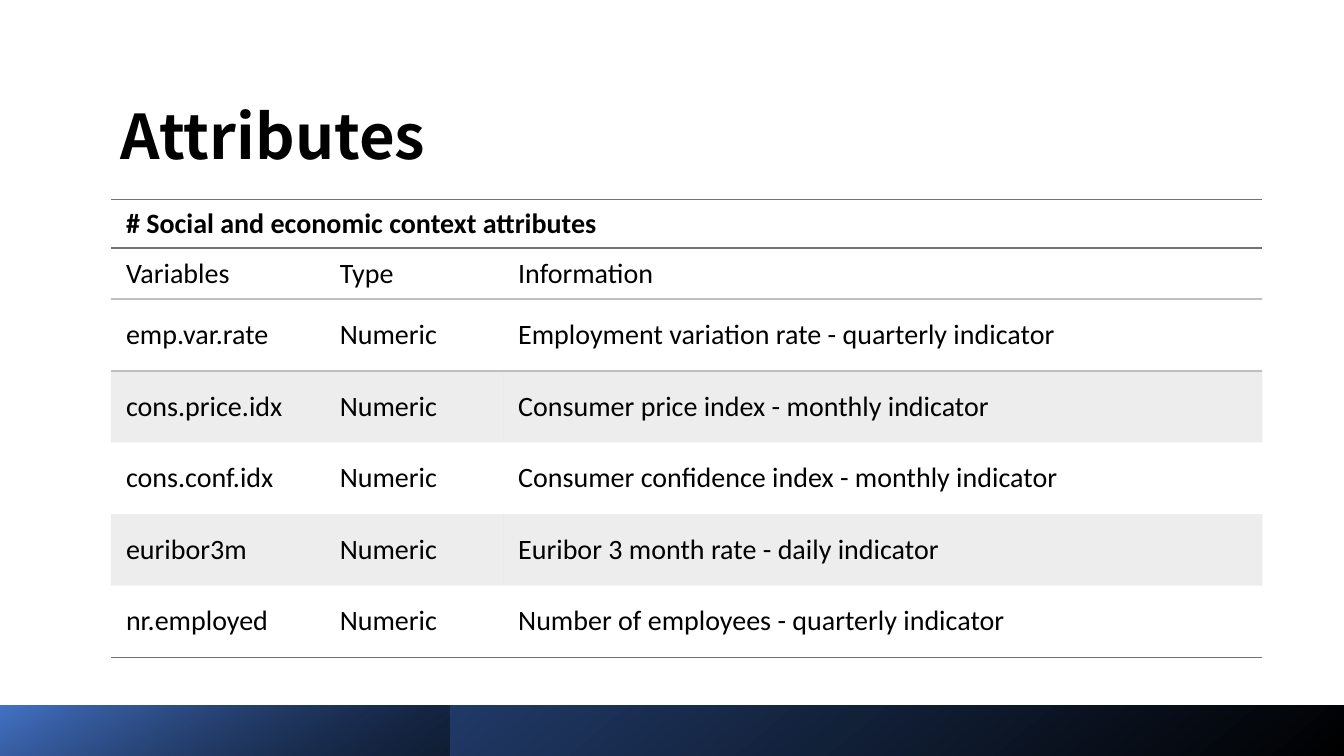
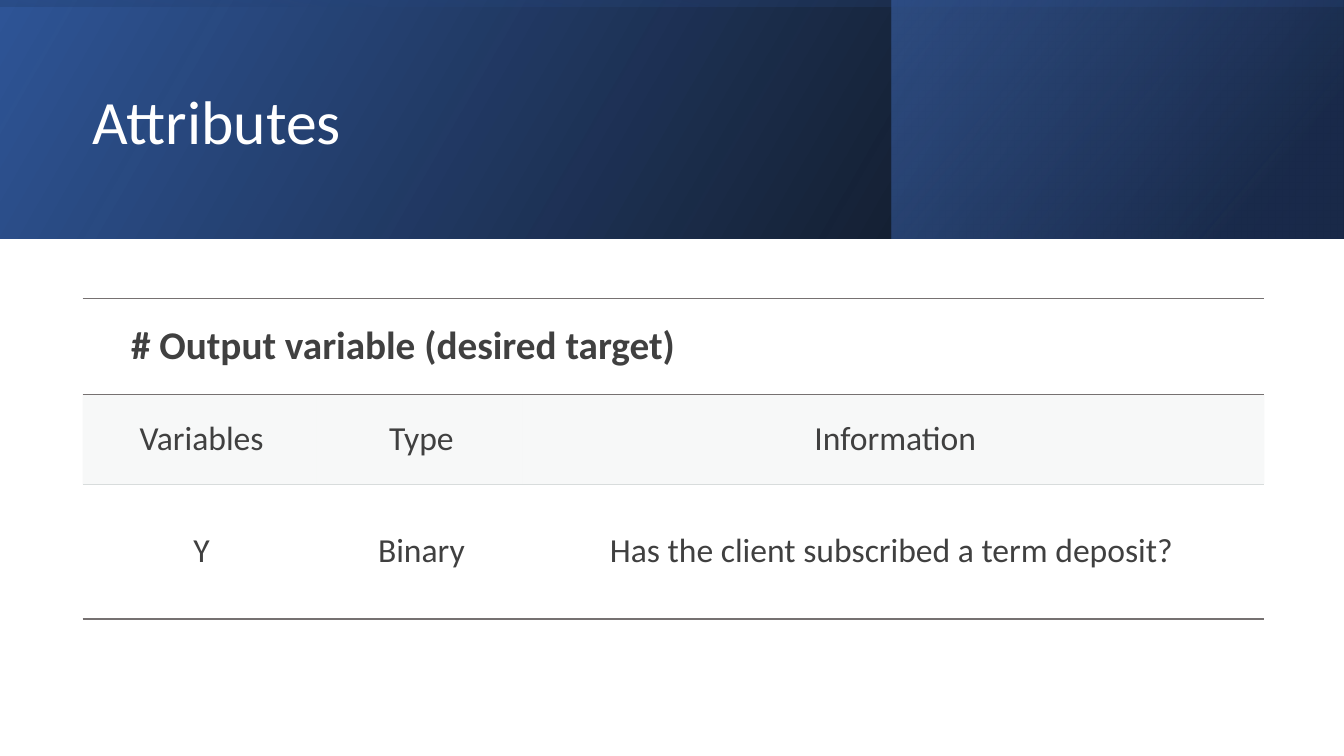
from dataclasses import dataclass

from lxml import etree
from pptx import Presentation
from pptx.dml.color import RGBColor as RGB
from pptx.enum.shapes import MSO_SHAPE as SHAPE
from pptx.enum.text import MSO_ANCHOR as ANCHOR, MSO_AUTO_SIZE as AUTO_SIZE, PP_ALIGN as ALIGN
from pptx.oxml.ns import qn
from pptx.util import Inches, Pt


@dataclass(frozen=True)
class Theme:
    font: str = "Calibri"
    heading_font: str = "Noto Sans CJK JP"
    black: str = "000000"
    white: str = "FFFFFF"
    text_grey: str = "404040"
    navy: str = "203864"
    blue: str = "2F5597"
    bright_blue: str = "4472C4"
    stripe: str = "A5A5A5"
    header_tint: str = "D8DEDC"
    rule_dark: str = "767171"
    rule_mid: str = "BFBFBF"
    rule_light: str = "D8DCDC"
    tint_opacity: int = 20
    title_size: int = 44
    no_table_style: str = "{2D5ABB26-0587-4C30-8999-92F81FD0307C}"


@dataclass(frozen=True)
class TableLook:
    widths: tuple
    heights: tuple
    insets: tuple
    color: str
    heading_size: int
    size: int
    align: ALIGN
    rules: dict
    fills: dict


THEME = Theme()
WIDTH, HEIGHT = 13.33, 7.5
DARK_RULE = (THEME.rule_dark, 1)
MID_RULE = (THEME.rule_mid, 1.5)
LIGHT_RULE = (THEME.rule_light, 0.75)

SOCIAL_LOOK = TableLook(
    widths=(2.12, 1.77, 7.53),
    heights=(0.39, 0.51) + (0.71,) * 5,
    insets=(0.15, 0.07, 0.15, 0.07),
    color=THEME.black,
    heading_size=20,
    size=20,
    align=ALIGN.LEFT,
    rules={0: DARK_RULE, 1: DARK_RULE, 2: MID_RULE, 3: MID_RULE, 7: DARK_RULE},
    fills={1: THEME.white, 3: THEME.stripe, 5: THEME.stripe},
)
OUTPUT_LOOK = TableLook(
    widths=(2.32, 2.04, 7.36),
    heights=(0.91, 0.87, 1.34),
    insets=(0.48, 0.24, 0.44, 0.24),
    color=THEME.text_grey,
    heading_size=28,
    size=24,
    align=ALIGN.CENTER,
    rules={0: DARK_RULE, 1: DARK_RULE, 2: LIGHT_RULE, 3: DARK_RULE},
    fills={1: THEME.header_tint},
)

COLUMNS = ("Variables", "Type", "Information")
SOCIAL_ROWS = (
    ("emp.var.rate", "Numeric", "Employment variation rate - quarterly indicator"),
    ("cons.price.idx", "Numeric", "Consumer price index - monthly indicator"),
    ("cons.conf.idx", "Numeric", "Consumer confidence index - monthly indicator"),
    ("euribor3m", "Numeric", "Euribor 3 month rate - daily indicator"),
    ("nr.employed", "Numeric", "Number of employees - quarterly indicator"),
)
OUTPUT_ROWS = (("Y", "Binary", "Has the client subscribed a term deposit? "),)


def set_opacity(color_element, percent):
    if percent < 100:
        etree.SubElement(color_element, qn("a:alpha"), val=str(percent * 1000))


def add_run(paragraph, text, font, size, color, bold=False):
    run = paragraph.add_run()
    run.text = text
    run.font.name = font
    run.font.size = Pt(size)
    run.font.bold = bold
    run.font.color.rgb = RGB.from_string(color)


def add_band(slide, box, stops, angle, flip=False, rotation=0):
    band = slide.shapes.add_shape(SHAPE.RECTANGLE, *map(Inches, box))
    band.shadow.inherit = False
    band.line.fill.background()
    band.rotation = rotation
    if flip:
        band._element.spPr.find(qn("a:xfrm")).set("flipH", "1")
    band.fill.gradient()
    band.fill.gradient_angle = 360 - angle
    for stop, (position, color, _) in zip(band.fill.gradient_stops, stops):
        stop.position = position / 100
        stop.color.rgb = RGB.from_string(color)
    colors = list(band._element.spPr.find(qn("a:gradFill")).iter(qn("a:srgbClr")))
    for color_element, (_, _, opacity) in zip(colors, stops):
        set_opacity(color_element, opacity)


def set_title(slide, text, box, font, color, bold=False):
    title = slide.shapes.title
    title.left, title.top, title.width, title.height = map(Inches, box)
    frame = title.text_frame
    frame.auto_size = AUTO_SIZE.NONE
    frame.vertical_anchor = ANCHOR.MIDDLE
    paragraph = frame.paragraphs[0]
    paragraph.alignment = ALIGN.LEFT
    paragraph.line_spacing = 0.9
    add_run(paragraph, text, font, THEME.title_size, color, bold)
    slide.shapes._spTree.append(title._element)


def add_border(cell, side, rule):
    properties = cell._tc.get_or_add_tcPr()
    if rule is None:
        line = etree.SubElement(properties, qn(side), w="0")
        etree.SubElement(line, qn("a:noFill"))
        return
    color, points = rule
    line = etree.SubElement(properties, qn(side), w=str(Pt(points)))
    fill = etree.SubElement(line, qn("a:solidFill"))
    etree.SubElement(fill, qn("a:srgbClr"), val=color)


def fill_cell(cell, color):
    if color is None:
        cell.fill.background()
        return
    cell.fill.solid()
    cell.fill.fore_color.rgb = RGB.from_string(color)
    solid = cell._tc.tcPr.find(qn("a:solidFill"))
    set_opacity(solid[0], THEME.tint_opacity)


def format_cell(cell, row, look):
    cell.vertical_anchor = ANCHOR.MIDDLE
    (cell.margin_left, cell.margin_top,
     cell.margin_right, cell.margin_bottom) = map(Inches, look.insets)
    borders = {"a:lnL": None, "a:lnR": None,
               "a:lnT": look.rules.get(row), "a:lnB": look.rules.get(row + 1)}
    for side, rule in borders.items():
        add_border(cell, side, rule)
    fill_cell(cell, look.fills.get(row))


def add_attribute_table(slide, left, top, heading, rows, look):
    content = ((heading,), COLUMNS) + rows
    frame = slide.shapes.add_table(
        len(content), len(COLUMNS), Inches(left), Inches(top),
        Inches(sum(look.widths)), Inches(sum(look.heights)))
    table = frame.table
    table.first_row = table.horz_banding = False
    table._tbl.tblPr.find(qn("a:tableStyleId")).text = THEME.no_table_style
    for column, width in zip(table.columns, look.widths):
        column.width = Inches(width)
    for row, height in zip(table.rows, look.heights):
        row.height = Inches(height)
    table.cell(0, 0).merge(table.cell(0, len(COLUMNS) - 1))
    for index, row in enumerate(table.rows):
        for cell in row.cells:
            format_cell(cell, index, look)
        is_heading = index == 0
        size = look.heading_size if is_heading else look.size
        for cell, text in zip(row.cells, content[index]):
            paragraph = cell.text_frame.paragraphs[0]
            paragraph.alignment = ALIGN.LEFT if is_heading else look.align
            add_run(paragraph, text, THEME.font, size, look.color, is_heading)


def build_social_slide(slide):
    top, height = 7, 0.51
    add_band(slide, (0, top, WIDTH, height),
             ((0, THEME.black, 100), (100, THEME.blue, 100)), 230)
    add_band(slide, (0, top, 4.46, height),
             ((0, THEME.black, 46), (99, THEME.bright_blue, 100)), 240)
    add_attribute_table(slide, 1.1, 1.98, "# Social and economic context attributes",
                        SOCIAL_ROWS, SOCIAL_LOOK)
    set_title(slide, "Attributes", (1.1, 0.78, 11.42, 1.2),
              THEME.heading_font, THEME.black, bold=True)


def build_output_slide(slide):
    height, accent_width = 2.37, 4.48
    offset = (WIDTH - height) / 2
    add_band(slide, (0, 0, WIDTH, height),
             ((0, THEME.black, 96), (100, THEME.blue, 100)), 330, flip=True)
    add_band(slide, (8.84, 0, accent_width, height),
             ((19, THEME.navy, 68), (100, THEME.bright_blue, 48)), 320, flip=True)
    add_band(slide, (offset, -offset, height, WIDTH),
             ((23, THEME.blue, 16), (99, THEME.black, 45)), 350, flip=True, rotation=270)
    set_title(slide, "Attributes", (0.82, 0.38, 11.72, 1.72), THEME.font, THEME.white)
    add_attribute_table(slide, 0.82, 2.96, "# Output variable (desired target)",
                        OUTPUT_ROWS, OUTPUT_LOOK)


def main():
    deck = Presentation()
    deck.slide_width, deck.slide_height = Inches(WIDTH), Inches(HEIGHT)
    title_only = deck.slide_layouts[5]
    for build in (build_social_slide, build_output_slide):
        build(deck.slides.add_slide(title_only))
    deck.save("out.pptx")


if __name__ == "__main__":
    main()
